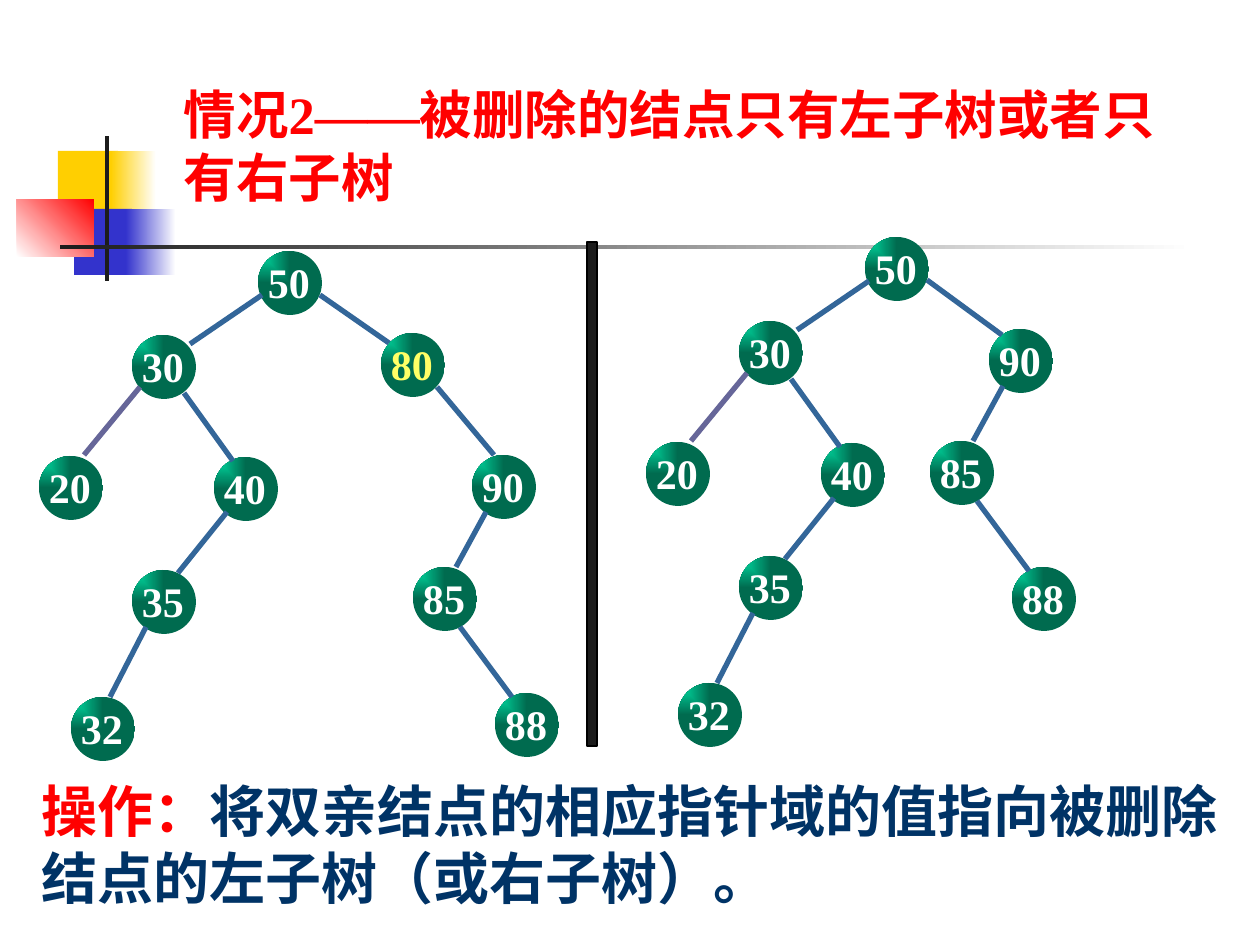
from typing import NamedTuple

from lxml.etree import SubElement
from pptx import Presentation
from pptx.dml.color import RGBColor
from pptx.enum.lang import MSO_LANGUAGE_ID as Lang
from pptx.enum.shapes import MSO_CONNECTOR as Conn, MSO_SHAPE as Geo
from pptx.enum.text import MSO_ANCHOR as Anchor, MSO_AUTO_SIZE as Auto, PP_ALIGN as Align
from pptx.oxml.ns import qn
from pptx.util import Pt

FONT = "Times New Roman"
WHITE = RGBColor(0xFF, 0xFF, 0xFF)
BLACK = RGBColor(0x00, 0x00, 0x00)
INK = RGBColor(0x1C, 0x1C, 0x1C)
RED = RGBColor(0xFF, 0x00, 0x00)
GOLD = RGBColor(0xFF, 0xCF, 0x01)
INDIGO = RGBColor(0x33, 0x33, 0xCC)
NAVY = RGBColor(0x00, 0x33, 0x66)
LEMON = RGBColor(0xFF, 0xFF, 0x66)
STEEL = RGBColor(0x33, 0x66, 0x99)
MAUVE = RGBColor(0x66, 0x66, 0x99)
MINT = RGBColor(0x00, 0xE4, 0xA8)
GREEN = RGBColor(0x00, 0x6B, 0x4F)
DISC = 64


class Block(NamedTuple):
    x: int
    y: int
    w: int
    h: int
    tint: RGBColor
    fade: RGBColor | None = None
    angle: int = 0


class Node(NamedTuple):
    key: int
    x: int
    y: int
    tint: RGBColor = WHITE


class Edge(NamedTuple):
    x1: int
    y1: int
    x2: int
    y2: int
    tint: RGBColor = STEEL


class Part(NamedTuple):
    nodes: list[Node]
    edges: list[Edge]


# Theme ornament, back to front
BLOCKS = [
    Block(58, 151, 60, 66, GOLD),
    Block(111, 151, 45, 66, GOLD, WHITE),
    Block(74, 209, 58, 66, INDIGO),
    Block(126, 209, 50, 66, INDIGO, WHITE),
    Block(17, 199, 77, 58, WHITE, RED, 45),
    Block(105, 136, 4, 145, INK),
    Block(60, 245, 1134, 4, INK, WHITE),
]

# Parts of the tree that stay the same after the deletion
MAIN = Part(
    [Node(50, 258, 251), Node(30, 132, 335), Node(20, 39, 456),
     Node(40, 214, 457), Node(35, 132, 570), Node(32, 71, 697)],
    [Edge(262, 295, 190, 344), Edge(140, 387, 84, 455, MAUVE),
     Edge(184, 393, 233, 461), Edge(227, 512, 178, 573),
     Edge(146, 627, 110, 697)],
)
BRANCH = Part(
    [Node(90, 472, 455), Node(85, 413, 567), Node(88, 495, 693)],
    [Edge(486, 512, 456, 567), Edge(460, 627, 512, 697)],
)
# Node to delete with its links, and the link that replaces them
GONE = Part([Node(80, 381, 333, LEMON)],
            [Edge(320, 295, 389, 343), Edge(437, 387, 494, 455)])
LINK = Part([], [Edge(927, 280, 1002, 335)])


def px(n: int) -> int:
    return round(n * 914400 / 126)


def place(shape, x: int, y: int, w: int, h: int) -> None:
    shape.left, shape.top, shape.width, shape.height = map(px, (x, y, w, h))


def blend(shape, start: RGBColor, end: RGBColor, angle: int = 0) -> None:
    shape.fill.gradient()
    shape.fill.gradient_angle = angle
    for stop, tint in zip(shape.fill.gradient_stops, (start, end)):
        stop.color.rgb = tint


def add_run(para, text: str, size: int, tint: RGBColor) -> None:
    run = para.add_run()
    run.text = text
    font = run.font
    font.name, font.size, font.bold = FONT, Pt(size), True
    font.color.rgb = tint
    font.language_id = Lang.SIMPLIFIED_CHINESE


def add_form(slide, geo: Geo, x: int, y: int, w: int, h: int):
    shape = slide.shapes.add_shape(geo, *map(px, (x, y, w, h)))
    shape.shadow.inherit = False
    shape.line.fill.background()
    return shape


def add_block(slide, block: Block):
    shape = add_form(slide, Geo.RECTANGLE, *block[:4])
    if block.fade is None:
        shape.fill.solid()
        shape.fill.fore_color.rgb = block.tint
    else:
        blend(shape, block.tint, block.fade, block.angle)
    return shape


def add_node(slide, node: Node, dx: int, dy: int) -> None:
    x, y = node.x + dx, node.y + dy
    disc = add_form(slide, Geo.OVAL, x, y, DISC, DISC)
    blend(disc, MINT, GREEN)
    # Light spreads from the top left corner
    grad = disc._element.spPr.find(qn("a:gradFill"))
    grad.remove(grad.find(qn("a:lin")))
    focus = SubElement(grad, qn("a:path"), {"path": "rect"})
    SubElement(focus, qn("a:fillToRect"), {"r": "100000", "b": "100000"})

    box = slide.shapes.add_textbox(*map(px, (x + 6, y + 6, 50, 66)))
    frame = box.text_frame
    frame.word_wrap = True
    frame.margin_left = frame.margin_top = frame.margin_right = 0
    frame.margin_bottom = px(5)
    para = frame.paragraphs[0]
    para.alignment = Align.CENTER
    add_run(para, str(node.key), 24, node.tint)


def add_edge(slide, edge: Edge, dx: int, dy: int) -> None:
    ends = (edge.x1 + dx, edge.y1 + dy, edge.x2 + dx, edge.y2 + dy)
    line = slide.shapes.add_connector(Conn.STRAIGHT, *map(px, ends))
    line.line.color.rgb = edge.tint
    line.line.width = Pt(3)
    SubElement(line._element.spPr, qn("a:effectLst"))


def add_part(slide, part: Part, dx: int = 0, dy: int = 0) -> None:
    for node in part.nodes:
        add_node(slide, node, dx, dy)
    for edge in part.edges:
        add_edge(slide, edge, dx, dy)


def main() -> None:
    deck = Presentation()
    deck.slide_width, deck.slide_height = px(1260), px(945)
    slide = deck.slides.add_slide(deck.slide_layouts[5])

    for block in BLOCKS:
        add_block(slide, block)

    # Title
    title = slide.shapes.title
    place(title, 171, 76, 1010, 139)
    frame = title.text_frame
    frame.auto_size, frame.vertical_anchor = Auto.NONE, Anchor.TOP
    para = frame.paragraphs[0]
    para.alignment = Align.LEFT
    add_run(para, "情况2——被删除的结点只有左子树或者只有右子树", 30, RED)

    # Divider between before and after
    wall = add_block(slide, Block(587, 242, 10, 504, INK))
    wall.line.color.rgb = BLACK
    wall.line.width = Pt(0.75)

    # Operation
    note = slide.shapes.add_textbox(*map(px, (29, 770, 1207, 147)))
    note.text_frame.word_wrap = True
    para = note.text_frame.paragraphs[0]
    add_run(para, "操作：", 32, RED)
    add_run(para, "将双亲结点的相应指针域的值指向被删除结点的左子树（或右子树）。", 32, NAVY)

    # Tree before the deletion
    for part in (MAIN, GONE, BRANCH):
        add_part(slide, part)

    # Tree after the deletion, with the branch moved up
    add_part(slide, MAIN, 607, -14)
    add_part(slide, BRANCH, 517, -126)
    add_part(slide, LINK)

    deck.save("out.pptx")


if __name__ == "__main__":
    main()
